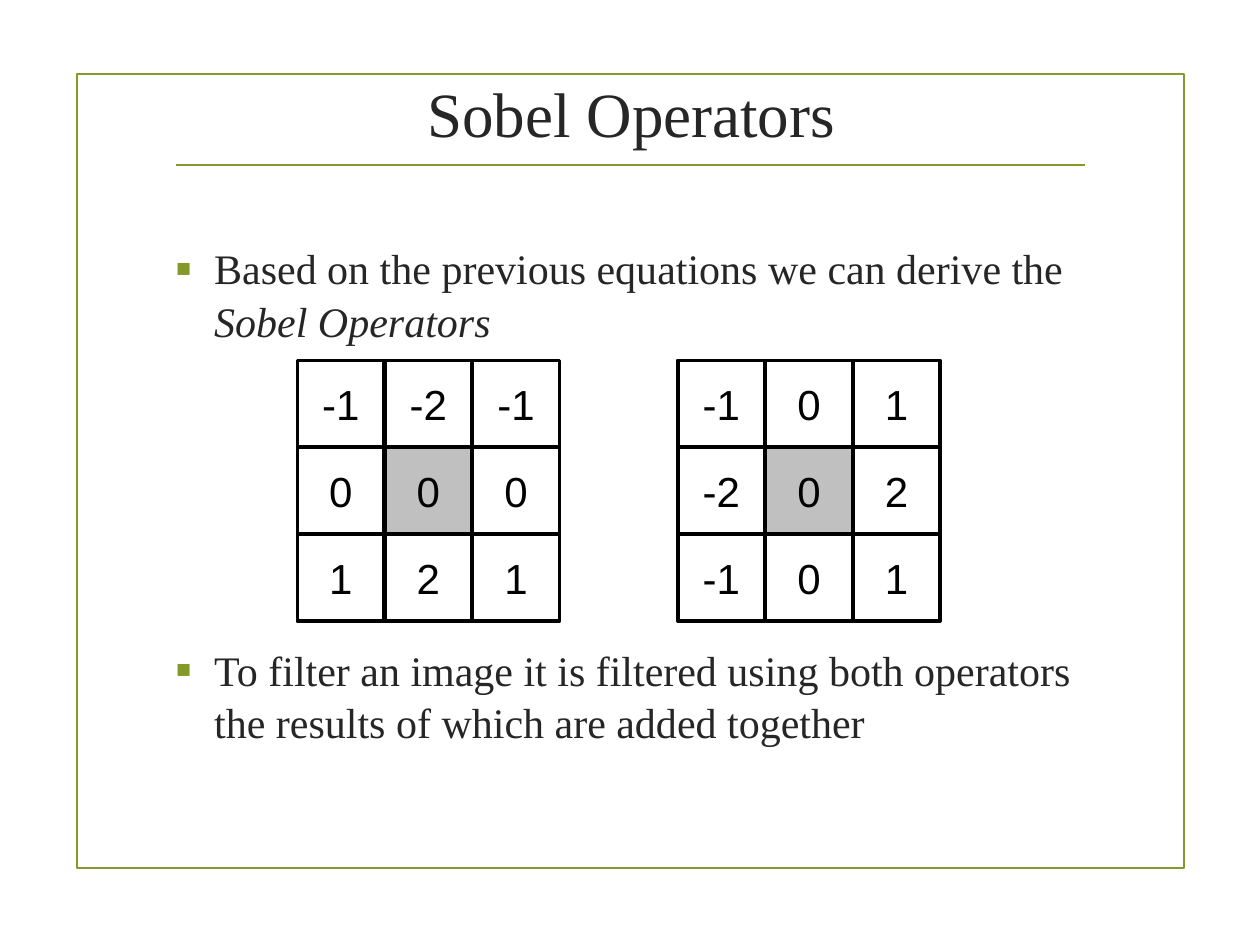
from lxml.etree import SubElement
from pptx import Presentation
from pptx.dml.color import RGBColor
from pptx.enum.shapes import MSO_CONNECTOR, MSO_SHAPE
from pptx.enum.text import MSO_ANCHOR, MSO_AUTO_SIZE, PP_ALIGN
from pptx.oxml.ns import qn
from pptx.util import Inches, Pt

TITLE = "Sobel Operators"
BULLETS = [
    {"spans": [("Based on the previous equations we can derive the ", False),
               ("Sobel Operators", True)], "before": 3},
    {"spans": [("To filter an image it is filtered using both operators "
                "the results of which are added together", False)], "before": 163.5},
]
KERNELS = [
    (2.36, [["-1", "-2", "-1"], ["0", "0", "0"], ["1", "2", "1"]]),
    (5.38, [["-1", "0", "1"], ["-2", "0", "2"], ["-1", "0", "1"]]),
]
KERNEL_TOP, CELL, COLUMN_STEP = 2.86, 0.69, 0.695
GREEN, INK, BLACK, WHITE, GRAY = "83992A", "262626", "000000", "FFFFFF", "C0C0C0"
SERIF, SANS = "Times New Roman", "Arial"


def color(value):
    """Turn a hex string into a colour."""
    return RGBColor.from_string(value)


def place(shape, left, top, width, height):
    """Move and size a shape in inches."""
    shape.left, shape.top = Inches(left), Inches(top)
    shape.width, shape.height = Inches(width), Inches(height)


def style(span, size, font, ink, italic=False):
    """Format one run of text."""
    span.font.size, span.font.name = Pt(size), font
    span.font.color.rgb = color(ink)
    span.font.italic = italic


def add_box(page, left, top, width, height, fill, line, weight):
    """Draw a rectangle, unfilled when fill is None."""
    box = page.shapes.add_shape(MSO_SHAPE.RECTANGLE, Inches(left), Inches(top),
                                Inches(width), Inches(height))
    box.shadow.inherit = False
    if fill:
        box.fill.solid()
        box.fill.fore_color.rgb = color(fill)
    else:
        box.fill.background()
    box.line.color.rgb = color(line)
    box.line.width = Pt(weight)
    return box


def add_frame(page):
    """Draw the border and the rule under the title."""
    add_box(page, 0.61, 0.59, 8.79, 6.3, None, GREEN, 1.25)
    rule = page.shapes.add_connector(MSO_CONNECTOR.STRAIGHT, Inches(1.4), Inches(1.31),
                                     Inches(8.61), Inches(1.31))
    rule.line.color.rgb = color(GREEN)
    rule.line.width = Pt(1.25)
    SubElement(rule.element.spPr, qn("a:effectLst"))


def set_bullet(para):
    """Give a paragraph a hanging green square."""
    properties = para._p.get_or_add_pPr()
    properties.set("marL", str(Inches(0.31)))
    properties.set("indent", str(-Inches(0.31)))
    tint = SubElement(properties, qn("a:buClr"))
    SubElement(tint, qn("a:srgbClr"), val=GREEN)
    SubElement(properties, qn("a:buSzPct"), val="115000")
    SubElement(properties, qn("a:buFont"), typeface=SANS)
    SubElement(properties, qn("a:buChar"), char="▪")


def fill_title(title):
    """Write the heading."""
    place(title, 1.29, 0.52, 7.44, 0.75)
    frame = title.text_frame
    frame.text = TITLE
    frame.auto_size = MSO_AUTO_SIZE.NONE
    frame.vertical_anchor = MSO_ANCHOR.MIDDLE
    frame.paragraphs[0].alignment = PP_ALIGN.CENTER
    style(frame.paragraphs[0].runs[0], 36, SERIF, INK)


def fill_body(body):
    """Write the bullets above and below the kernels."""
    place(body, 1.29, 1.86, 7.44, 4.97)
    frame = body.text_frame
    frame.auto_size = MSO_AUTO_SIZE.NONE
    frame.vertical_anchor = MSO_ANCHOR.TOP
    for index, bullet in enumerate(BULLETS):
        para = frame.add_paragraph() if index else frame.paragraphs[0]
        para.line_spacing = 1.04
        para.space_before, para.space_after = Pt(bullet["before"]), Pt(6)
        set_bullet(para)
        for text, italic in bullet["spans"]:
            span = para.add_run()
            span.text = text
            style(span, 24, SERIF, INK, italic)


def add_kernel(page, left, rows):
    """Draw one operator as a grid with a shaded centre."""
    for r, row in enumerate(rows):
        for c, value in enumerate(row):
            fill = GRAY if (r, c) == (1, 1) else WHITE
            box = add_box(page, left + c * COLUMN_STEP, KERNEL_TOP + r * CELL,
                          CELL, CELL, fill, BLACK, 2)
            frame = box.text_frame
            frame.text = value
            frame.word_wrap = False
            frame.vertical_anchor = MSO_ANCHOR.MIDDLE
            frame.paragraphs[0].alignment = PP_ALIGN.CENTER
            style(frame.paragraphs[0].runs[0], 24, SANS, BLACK)


def main():
    """Build and save the slide."""
    deck = Presentation()
    deck.slide_width, deck.slide_height = Inches(10), Inches(7.5)
    page = deck.slides.add_slide(deck.slide_layouts[1])
    add_frame(page)
    fill_title(page.shapes.title)
    fill_body(page.placeholders[1])
    for left, rows in KERNELS:
        add_kernel(page, left, rows)
    deck.save("out.pptx")


if __name__ == "__main__":
    main()
